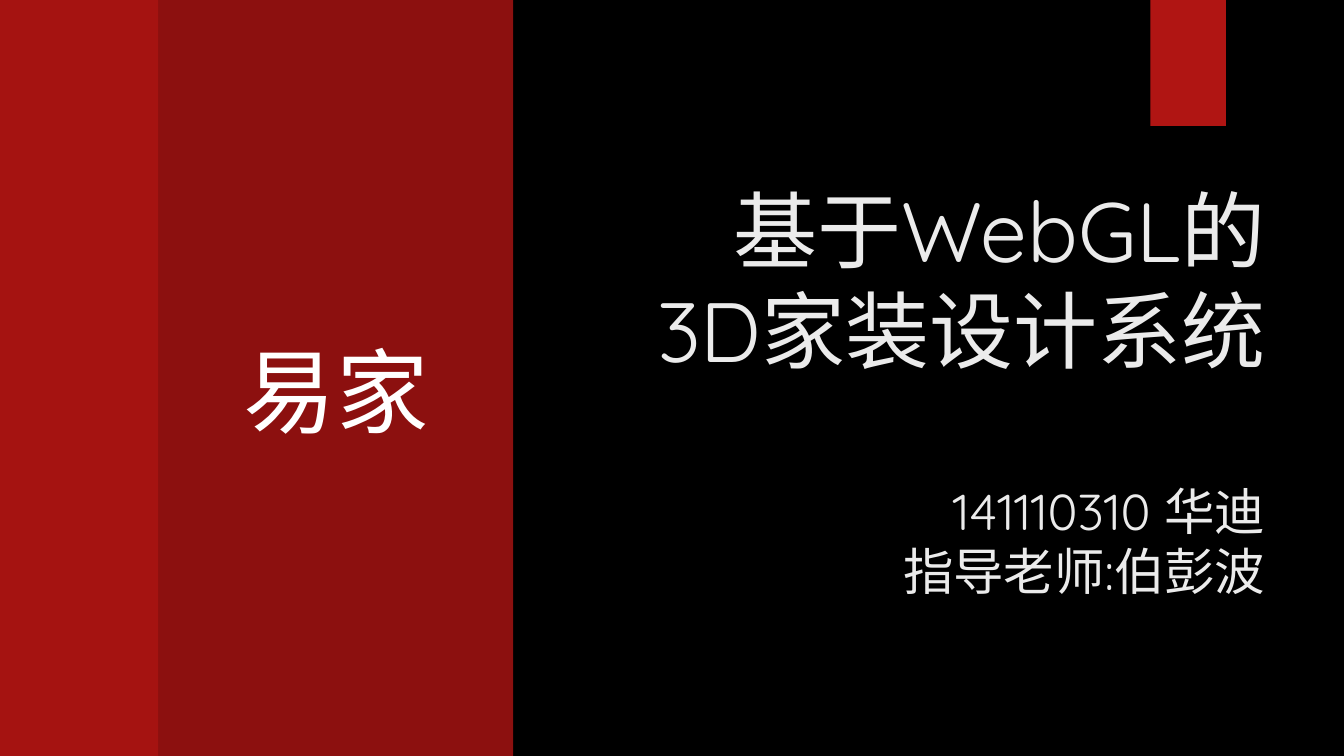
from dataclasses import dataclass

from lxml.etree import SubElement
from pptx import Presentation
from pptx.dml.color import RGBColor
from pptx.enum.shapes import MSO_SHAPE
from pptx.enum.text import MSO_ANCHOR, MSO_AUTO_SIZE, PP_ALIGN
from pptx.oxml.ns import qn
from pptx.util import Inches, Pt

RED = "B01513"
CJK_FONT = "Noto Sans CJK SC"


@dataclass
class Band:
    """A red rectangle hanging from the top edge."""
    left: float
    width: float
    height: float
    opacity: int = 100


@dataclass
class Line:
    """A paragraph with its type settings, sizes in points."""
    text: str
    size: int
    font: str
    color: str
    align: PP_ALIGN
    pitch: int | None = None
    before: int = 0


BANDS = [
    Band(0, 5.09, 7.5, 80),
    Band(0, 1.57, 7.5, 70),
    Band(11.41, 0.75, 1.25),
]
TITLE = [
    Line("基于WebGL的\v3D家装设计系统", 60, "Quicksand", "EBEBEB", PP_ALIGN.RIGHT, 72),
    Line("141110310 华迪\v指导老师:伯彭波", 36, "Quicksand", "EBEBEB", PP_ALIGN.RIGHT, 43, 72),
]
SUBTITLE = [Line("易家", 66, CJK_FONT, "FFFFFF", PP_ALIGN.CENTER)]


def paint(fill, color: str) -> None:
    """Give a fill one solid colour."""
    fill.solid()
    fill.fore_color.rgb = RGBColor.from_string(color)


def draw_band(page, band: Band) -> None:
    """Draw one red band, translucent where asked."""
    shape = page.shapes.add_shape(
        MSO_SHAPE.RECTANGLE, Inches(band.left), 0, Inches(band.width), Inches(band.height))
    shape.shadow.inherit = False
    shape.line.fill.background()
    paint(shape.fill, RED)
    if band.opacity < 100:
        color = shape.fill._xPr.find(".//" + qn("a:srgbClr"))
        SubElement(color, qn("a:alpha"), val=str(band.opacity * 1000))


def write_lines(box, lines: list[Line]) -> None:
    """Write vertically centred paragraphs into a box."""
    frame = box.text_frame
    frame.word_wrap = True
    frame.auto_size = MSO_AUTO_SIZE.NONE
    frame.vertical_anchor = MSO_ANCHOR.MIDDLE
    for index, line in enumerate(lines):
        para = frame.add_paragraph() if index else frame.paragraphs[0]
        para.text = line.text
        para.alignment = line.align
        para.space_before = Pt(line.before)
        if line.pitch:
            para.line_spacing = Pt(line.pitch)
        para.font.size = Pt(line.size)
        para.font.name = line.font
        paint(para.font.fill, line.color)
        SubElement(para.font._rPr, qn("a:ea"), typeface=CJK_FONT)


def main() -> None:
    """Build and save the cover slide."""
    deck = Presentation()
    deck.slide_width, deck.slide_height = Inches(13.33), Inches(7.5)
    page = deck.slides.add_slide(deck.slide_layouts[5])
    paint(page.background.fill, "000000")
    for band in BANDS:
        draw_band(page, band)
    title = page.shapes.title
    title.left, title.top = Inches(5.82), Inches(1.39)
    title.width, title.height = Inches(6.83), Inches(4.95)
    write_lines(title, TITLE)
    subtitle = page.shapes.add_textbox(Inches(1.93), Inches(3.13), Inches(2.81), Inches(1.47))
    write_lines(subtitle, SUBTITLE)
    deck.save("out.pptx")


if __name__ == "__main__":
    main()
